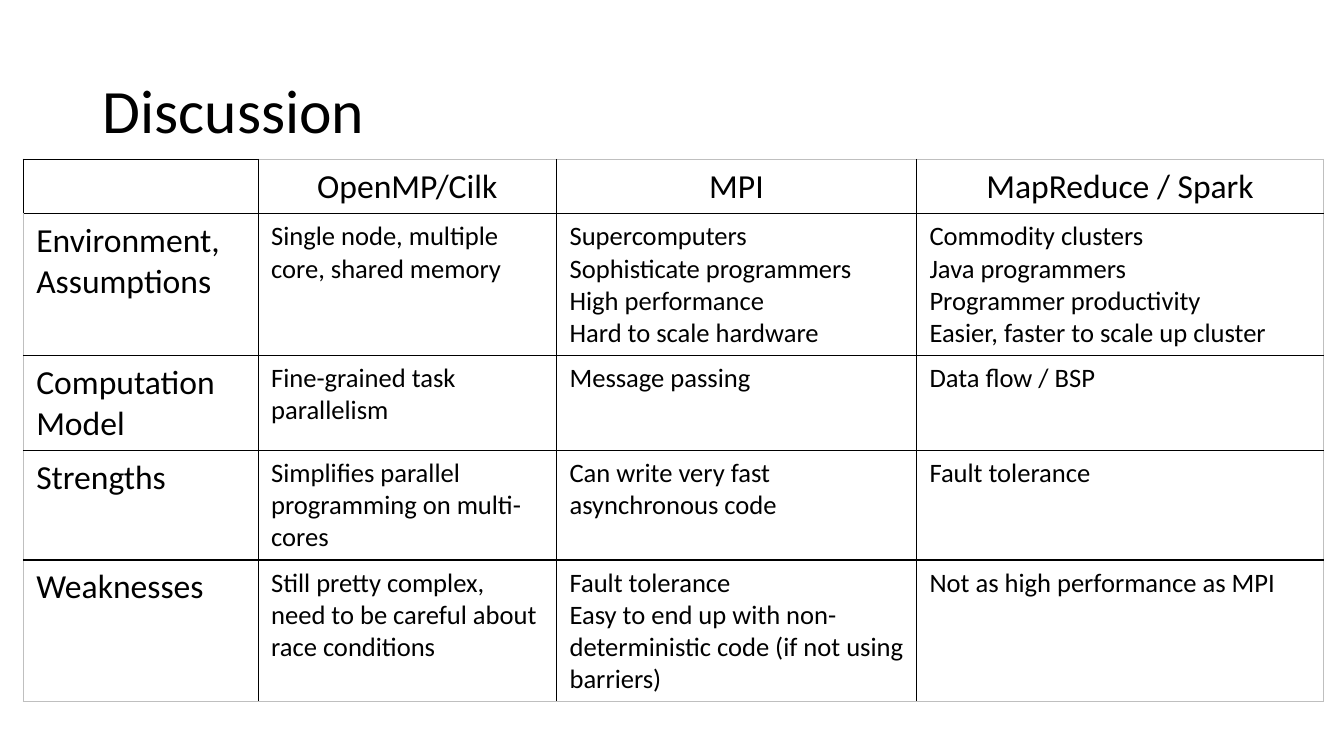
import pptx
import pptx.util
import pptx.oxml
import pptx.oxml.ns
import pptx.dml.color
import pptx.enum.text
from dataclasses import dataclass

Inches = pptx.util.Inches
Pt = pptx.util.Pt
RGB = pptx.dml.color.RGBColor

TITLE = "Discussion"
COMPARISON = [
    ["", "OpenMP/Cilk", "MPI", "MapReduce / Spark"],
    [
        "Environment,\nAssumptions",
        "Single node, multiple core, shared memory",
        "Supercomputers\nSophisticate programmers\nHigh performance\nHard to scale hardware",
        "Commodity clusters\nJava programmers\nProgrammer productivity\nEasier, faster to scale up cluster",
    ],
    ["Computation Model", "Fine-grained task parallelism", "Message passing", "Data flow / BSP"],
    [
        "Strengths",
        "Simplifies parallel programming on multi-cores",
        "Can write very fast asynchronous code",
        "Fault tolerance",
    ],
    [
        "Weaknesses",
        "Still pretty complex, need to be careful about race conditions",
        "Fault tolerance\nEasy to end up with non-deterministic code (if not using barriers)",
        "Not as high performance as MPI",
    ],
]
COLUMN_WIDTHS = [2.33, 2.96, 3.57, 4.04]
ROW_HEIGHTS = [0.54, 1.38, 0.93, 1.07, 1.38]
TABLE_LEFT, TABLE_TOP = 0.23, 1.58


@dataclass
class Theme:
    font: str = "Calibri"
    ink: str = "000000"
    outer_edge: str = "BFBFBF"
    title_size: float = 44
    heading_size: float = 24
    body_size: float = 19
    inner_width: float = 1
    outer_width: float = 0.5


theme = Theme()


def style(paragraph, size):
    paragraph.font.name = theme.font
    paragraph.font.size = Pt(size)
    paragraph.font.color.rgb = RGB.from_string(theme.ink)


def draw_borders(cell, row, column):
    corner = row == column == 0
    outer = {
        "lnL": column == 0 and not corner,
        "lnR": column == len(COLUMN_WIDTHS) - 1,
        "lnT": row == 0 and not corner,
        "lnB": row == len(ROW_HEIGHTS) - 1,
    }
    properties = cell._tc.get_or_add_tcPr()
    for position, (side, is_outer) in enumerate(outer.items()):
        color = theme.outer_edge if is_outer else theme.ink
        width = Pt(theme.outer_width if is_outer else theme.inner_width)
        properties.insert(position, pptx.oxml.parse_xml(
            f'<a:{side} {pptx.oxml.ns.nsdecls("a")} w="{width}">'
            f'<a:solidFill><a:srgbClr val="{color}"/></a:solidFill></a:{side}>'
        ))


def fill_cell(cell, text, row, column):
    cell.fill.background()
    cell.margin_left = cell.margin_right = Inches(0.13)
    cell.margin_top = cell.margin_bottom = Inches(0.07)
    cell.text = text
    heading = row == 0 or column == 0
    for paragraph in cell.text_frame.paragraphs:
        style(paragraph, theme.heading_size if heading else theme.body_size)
        if row == 0:
            paragraph.alignment = pptx.enum.text.PP_ALIGN.CENTER
    draw_borders(cell, row, column)


def add_title(slide):
    frame = slide.shapes.add_textbox(Inches(0.92), Inches(0.4), Inches(11.5), Inches(1.45)).text_frame
    frame.word_wrap = True
    frame.vertical_anchor = pptx.enum.text.MSO_ANCHOR.MIDDLE
    frame.text = TITLE
    heading = frame.paragraphs[0]
    heading.line_spacing = 0.9
    style(heading, theme.title_size)


def add_comparison(slide):
    table = slide.shapes.add_table(
        len(ROW_HEIGHTS), len(COLUMN_WIDTHS), Inches(TABLE_LEFT), Inches(TABLE_TOP),
        Inches(sum(COLUMN_WIDTHS)), Inches(sum(ROW_HEIGHTS)),
    ).table
    table.first_row = table.horz_banding = False
    for column, width in zip(table.columns, COLUMN_WIDTHS):
        column.width = Inches(width)
    for row, height in zip(table.rows, ROW_HEIGHTS):
        row.height = Inches(height)
    for row, texts in enumerate(COMPARISON):
        for column, text in enumerate(texts):
            fill_cell(table.cell(row, column), text, row, column)


def main():
    presentation = pptx.Presentation()
    presentation.slide_width = Inches(13.33)
    presentation.slide_height = Inches(7.5)
    slide = presentation.slides.add_slide(presentation.slide_layouts[6])
    add_title(slide)
    add_comparison(slide)
    presentation.save("out.pptx")


if __name__ == "__main__":
    main()
